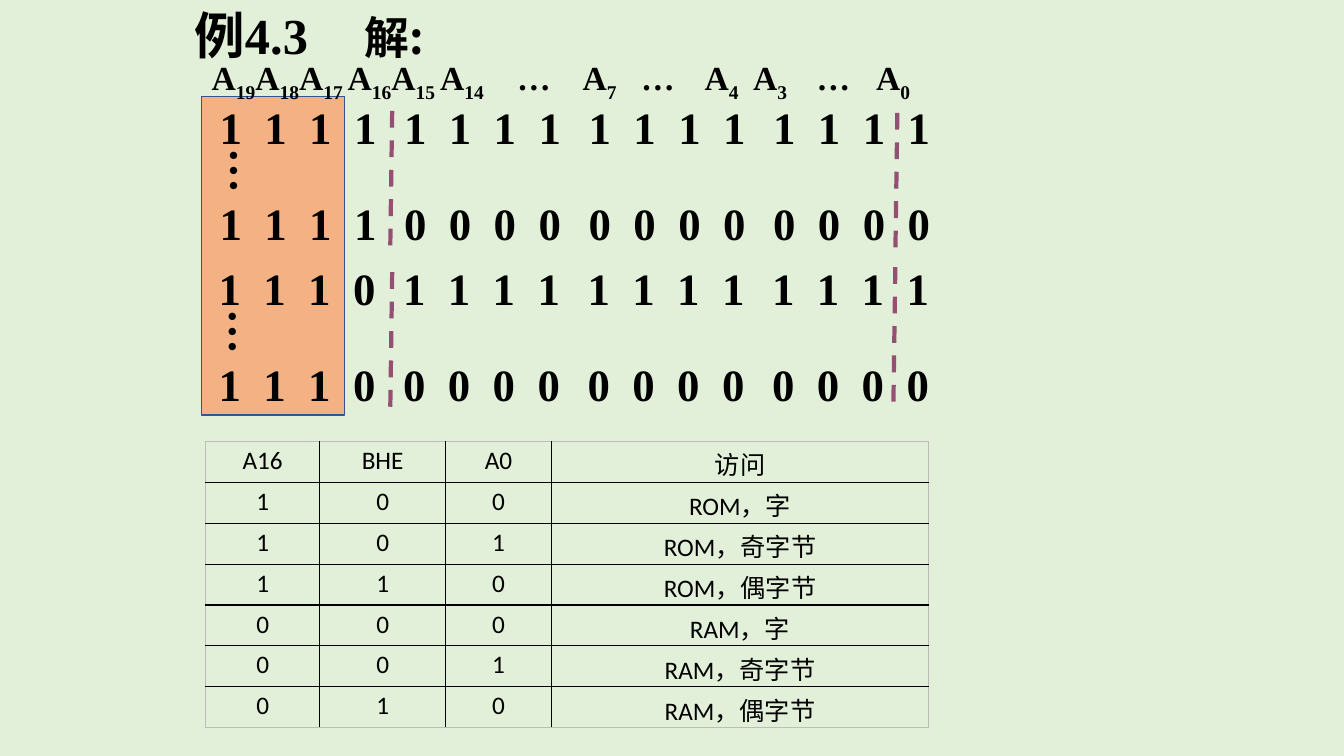
from dataclasses import dataclass

from lxml.etree import SubElement
from pptx import Presentation
from pptx.dml.color import RGBColor
from pptx.enum.dml import MSO_LINE
from pptx.enum.shapes import MSO_CONNECTOR, MSO_SHAPE
from pptx.enum.text import MSO_ANCHOR, MSO_AUTO_SIZE, PP_ALIGN
from pptx.oxml.ns import qn
from pptx.util import Inches, Pt


@dataclass(frozen=True)
class Theme:
    background: str = "E2F0D9"
    band: str = "F4B183"
    band_line: str = "325491"
    divider: str = "954F72"
    ink: str = "000000"
    serif: str = "Times New Roman"
    sans: str = "Calibri"
    cjk: str = "Noto Sans CJK SC"
    title: int = 36
    bits: int = 32
    address: int = 24
    table: int = 18
    grid_style: str = "{5940675A-B579-460E-94D1-54222C63F5DA}"


class SlideBuilder:
    def __init__(self, prs, theme):
        self.theme = theme
        self.s = prs.slides.add_slide(prs.slide_layouts[5])
        fill = self.s.background.fill
        fill.solid()
        fill.fore_color.rgb = RGBColor.from_string(theme.background)

    def style(self, r, size, latin, bold=True):
        r.font.size, r.font.bold, r.font.name = Pt(size), bold, latin
        r.font.color.rgb = RGBColor.from_string(self.theme.ink)
        SubElement(r.font._element, qn("a:ea"), typeface=self.theme.cjk)

    def tabs(self, p, stops):
        tab_list = SubElement(p._p.get_or_add_pPr(), qn("a:tabLst"))
        for stop in stops:
            SubElement(tab_list, qn("a:tab"), pos=str(Inches(stop)), algn="l")

    def frame(self, sp):
        tf = sp.text_frame
        tf.word_wrap = True
        tf.auto_size = MSO_AUTO_SIZE.NONE
        tf.vertical_anchor = MSO_ANCHOR.TOP
        return tf

    def title(self, parts, stop, left, top, width, height):
        sp = self.s.shapes.title
        sp.left, sp.top = Inches(left), Inches(top)
        sp.width, sp.height = Inches(width), Inches(height)
        p = self.frame(sp).paragraphs[0]
        p.alignment = PP_ALIGN.LEFT
        self.tabs(p, [stop])
        for text, size, latin in parts:
            r = p.add_run()
            r.text = text
            self.style(r, size, latin)

    def text(self, text, left, top, width, height, stops=(), vertical=False):
        sp = self.s.shapes.add_textbox(Inches(left), Inches(top), Inches(width), Inches(height))
        tf = self.frame(sp)
        tf.text = text
        p = tf.paragraphs[0]
        if vertical:
            tf._txBody.bodyPr.set("vert", "eaVert")
            p.alignment = PP_ALIGN.CENTER
        if stops:
            self.tabs(p, stops)
        self.style(p.runs[0], self.theme.bits, self.theme.serif)

    def address_row(self, parts, stops, left, top, width, height):
        sp = self.s.shapes.add_textbox(Inches(left), Inches(top), Inches(width), Inches(height))
        p = self.frame(sp).paragraphs[0]
        self.tabs(p, stops)
        for base, index in parts:
            for text, shift in ((base, "0"), (index, "-25000")):
                r = p.add_run()
                r.text = text
                self.style(r, self.theme.address, self.theme.serif)
                r.font._element.set("baseline", shift)

    def band(self, left, top, width, height):
        sp = self.s.shapes.add_shape(
            MSO_SHAPE.RECTANGLE, Inches(left), Inches(top), Inches(width), Inches(height))
        sp.shadow.inherit = False
        sp.fill.solid()
        sp.fill.fore_color.rgb = RGBColor.from_string(self.theme.band)
        sp.line.color.rgb = RGBColor.from_string(self.theme.band_line)
        sp.line.width = Pt(1)

    def divider(self, x1, y1, x2, y2):
        line = self.s.shapes.add_connector(
            MSO_CONNECTOR.STRAIGHT, Inches(x1), Inches(y1), Inches(x2), Inches(y2))
        line.line.color.rgb = RGBColor.from_string(self.theme.divider)
        line.line.width = Pt(3)
        line.line.dash_style = MSO_LINE.DASH
        SubElement(line._element.spPr, qn("a:effectLst"))

    def table(self, rows, widths, left, top, height):
        sp = self.s.shapes.add_table(
            len(rows), len(widths), Inches(left), Inches(top),
            Inches(sum(widths)), Inches(height))
        table = sp.table
        table.first_row = table.horz_banding = False
        table._tbl.tblPr.find(qn("a:tableStyleId")).text = self.theme.grid_style
        for column, width in zip(table.columns, widths):
            column.width = Inches(width)
        for i, row in enumerate(rows):
            table.rows[i].height = Inches(height / len(rows))
            for j, value in enumerate(row):
                cell = table.cell(i, j)
                cell.fill.background()
                # Tight margins keep the tall CJK line inside its row
                cell.margin_top, cell.margin_bottom = Inches(0.04), 0
                cell.text = value
                p = cell.text_frame.paragraphs[0]
                p.alignment = PP_ALIGN.CENTER
                self.style(p.runs[0], self.theme.table, self.theme.sans, bold=False)


def main():
    prs = Presentation()
    prs.slide_width, prs.slide_height = Inches(13.33), Inches(7.5)
    theme = Theme()
    slide = SlideBuilder(prs, theme)

    # Title and shaded high address bits
    slide.title([("例", theme.title, theme.cjk), ("4.3", theme.title, theme.serif),
                 ("\t解:", theme.bits, theme.cjk)], 1.69, 1.83, -0.01, 4.75, 0.7)
    slide.band(2, 0.96, 1.42, 3.16)

    # Address line names
    slide.address_row(
        [("A", "19"), ("A", "18"), ("A", "17 "), ("A", "16"), ("A", "15 "), ("A", "14"),
         ("\t…\tA", "7"), ("\t…\tA", "4"), ("\tA", "3"), ("\t…\tA", "0")],
        [3.03, 3.68, 4.26, 4.89, 5.37, 6, 6.59], 2, 0.52, 8.58, 0.5)

    # Highest and lowest address of each memory block, in groups of four bits
    bit_stops = [4 / 9 * n for n in (1, 2, 3)]
    group_pitch, row_gap = 1.83, 0.95
    for left, top, prefix in ((2.08, 0.94, "1111"), (2.07, 2.54, "1110")):
        for row, bit in enumerate("10"):
            for group, nibble in enumerate([prefix] + [bit * 4] * 3):
                slide.text("\t".join(nibble), left + group_pitch * group,
                           top + row_gap * row, 2, 0.63, bit_stops)
        slide.text("…", left - 0.04, top + 0.43, 0.74, 0.75, vertical=True)

    # Dividers beside A16 and A0
    for x, y in ((3.89, 1.1), (3.89, 2.7), (8.9, 1.12), (8.88, 2.65)):
        slide.divider(x, y, x - 0.02, y + 1.43)

    # Access table
    slide.table([("A16", "BHE", "A0", "访问"),
                 ("1", "0", "0", "ROM，字"),
                 ("1", "0", "1", "ROM，奇字节"),
                 ("1", "1", "0", "ROM，偶字节"),
                 ("0", "0", "0", "RAM，字"),
                 ("0", "0", "1", "RAM，奇字节"),
                 ("0", "1", "0", "RAM，偶字节")],
                [1.13, 1.25, 1.05, 3.74], 2.04, 4.38, 2.84)

    prs.save("out.pptx")


if __name__ == "__main__":
    main()
